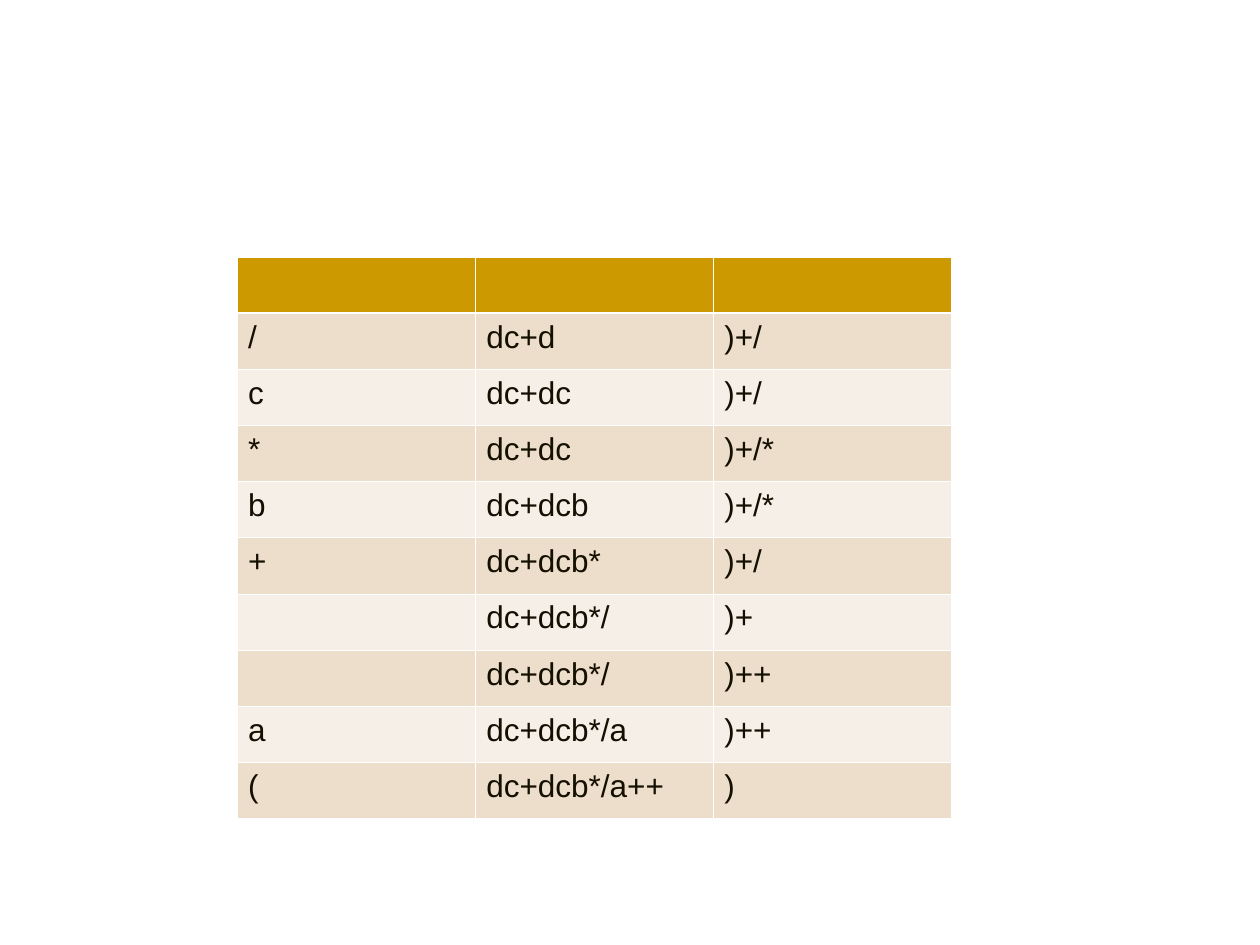
from lxml import etree
from pptx import Presentation
from pptx import util as u
from pptx.dml.color import RGBColor
from pptx.oxml.ns import qn

STEPS = [
    ("", "", ""),
    ("/", "dc+d", ")+/"),
    ("c", "dc+dc", ")+/"),
    ("*", "dc+dc", ")+/*"),
    ("b", "dc+dcb", ")+/*"),
    ("+", "dc+dcb*", ")+/"),
    ("", "dc+dcb*/", ")+"),
    ("", "dc+dcb*/", ")++"),
    ("a", "dc+dcb*/a", ")++"),
    ("(", "dc+dcb*/a++", ")"),
]
HEAD, BANDS = "CC9900", ("F6EFE7", "ECDECB")
THIN, THICK = 0.45, 1.47


def tint(part, color):
    """Give a fill or font a solid colour from a hex string."""
    if hasattr(part, "solid"):
        part.solid()
        part.fore_color.rgb = RGBColor.from_string(color)
    else:
        part.color.rgb = RGBColor.from_string(color)


def write(frame, text, size=18, face="Arial", color="140F00"):
    """Put formatted text in a text frame."""
    para = frame.paragraphs[0]
    para.text = text
    para.font.size = u.Pt(size)
    para.font.name = face
    tint(para.font, color)


def edge(cell, side, width, color="FFFFFF"):
    """Draw one border of a cell."""
    props = cell._tc.get_or_add_tcPr()
    line = etree.SubElement(props, qn("a:ln" + side), w=str(u.Pt(width)))
    fill = etree.SubElement(line, qn("a:solidFill"))
    etree.SubElement(fill, qn("a:srgbClr"), val=color)


def grid(slide, rows, left, top, wide, high):
    """Add the banded table of conversion steps."""
    frame = slide.shapes.add_table(len(rows), len(rows[0]), left, top, wide, high)
    table = frame.table
    for r, row in enumerate(rows):
        for c, text in enumerate(row):
            cell = table.cell(r, c)
            cell.margin_left = cell.margin_right = u.Inches(0.09)
            cell.margin_top = cell.margin_bottom = u.Inches(0.05)
            edge(cell, "L", THIN)
            edge(cell, "R", THIN)
            edge(cell, "T", THICK if r == 1 else THIN)
            edge(cell, "B", THICK if r == 0 else THIN)
            tint(cell.fill, BANDS[r % 2] if r else HEAD)
            if text:
                write(cell.text_frame, text)


def main():
    """Build and save the slide."""
    deck = Presentation()
    deck.slide_width, deck.slide_height = u.Inches(10), u.Inches(7.5)
    slide = deck.slides.add_slide(deck.slide_layouts[6])
    grid(slide, STEPS, u.Inches(1.88), u.Inches(2.04), u.Inches(5.67), u.Inches(4.46))
    deck.save("out.pptx")


if __name__ == "__main__":
    main()
